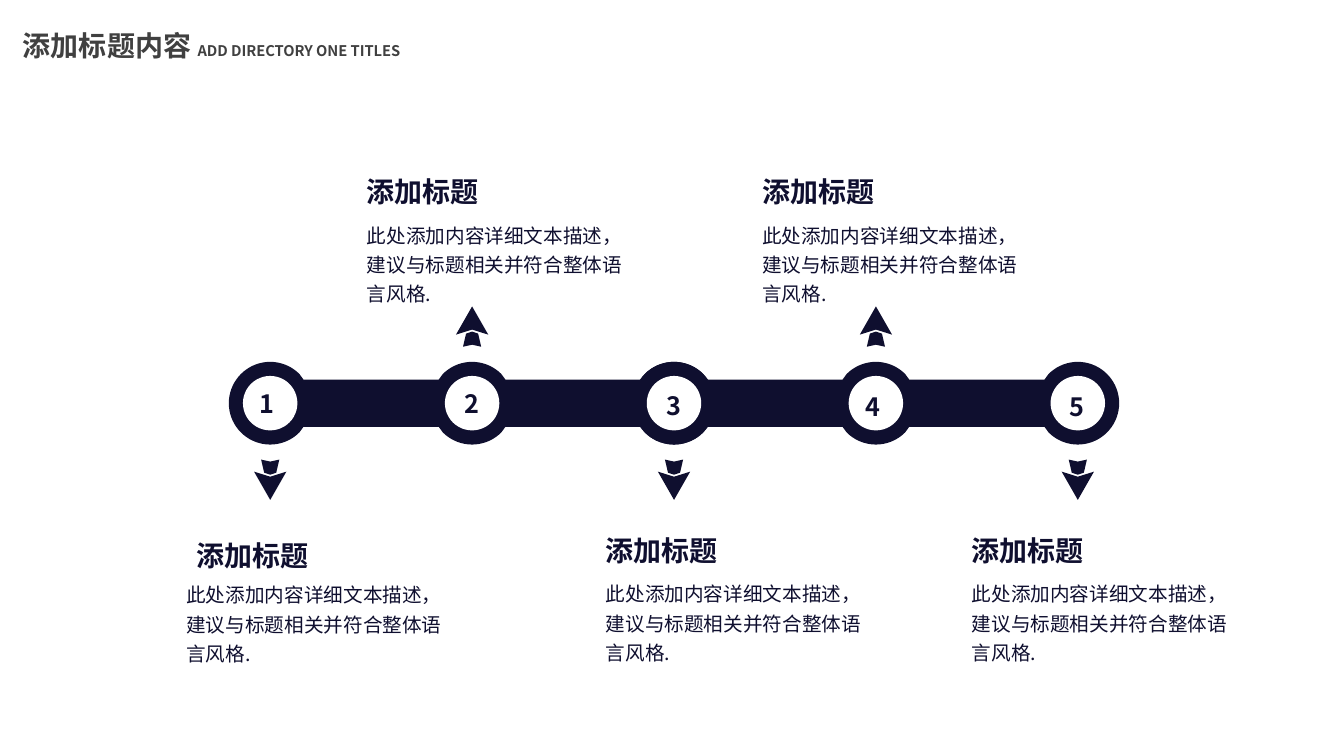
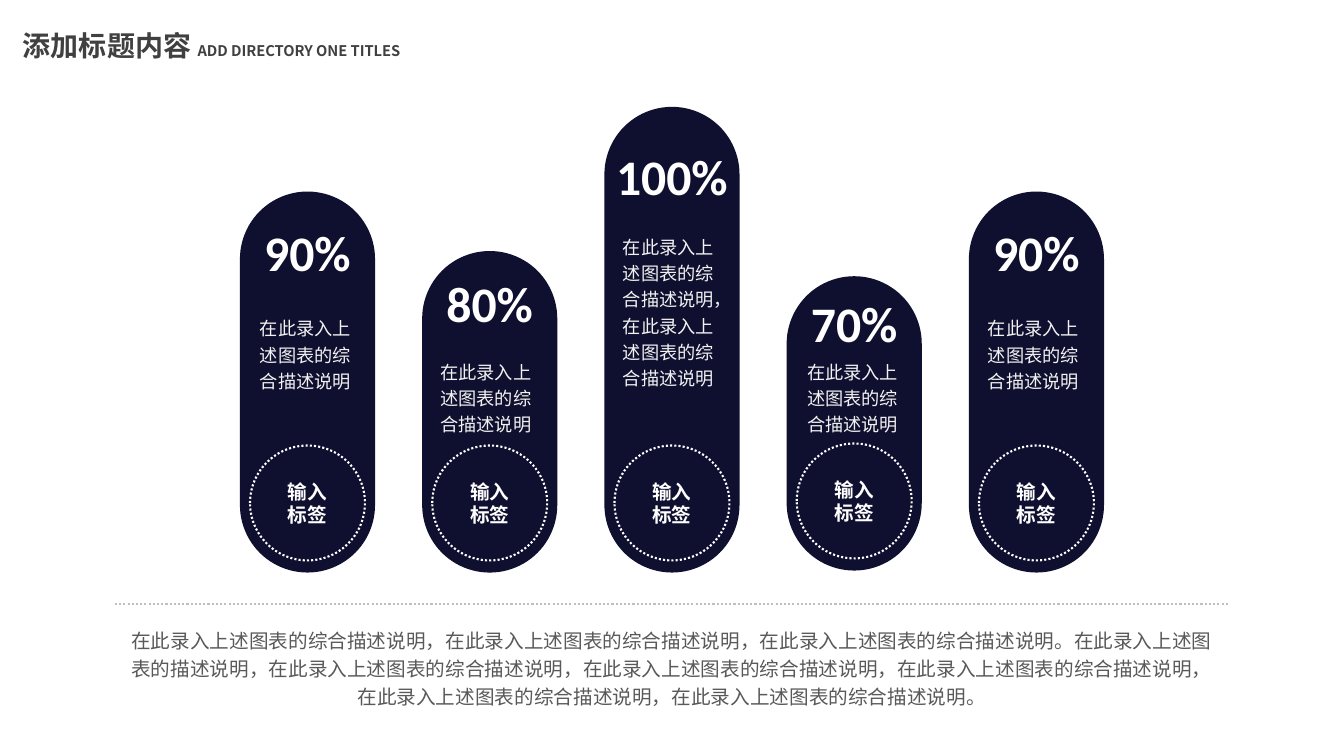
"""Build two slides: a five-step timeline and five percentage pillars."""
import math

import pptx
import pptx.dml.color
import pptx.enum.dml
import pptx.enum.shapes
import pptx.enum.text
import pptx.oxml
import pptx.oxml.ns
import pptx.util

Inches, Pt = pptx.util.Inches, pptx.util.Pt
RGBColor = pptx.dml.color.RGBColor
SHAPE = pptx.enum.shapes.MSO_SHAPE
DOTTED = pptx.enum.dml.MSO_LINE.ROUND_DOT
CENTER = pptx.enum.text.PP_ALIGN.CENTER
LEFT = pptx.enum.text.PP_ALIGN.LEFT
TOP = pptx.enum.text.MSO_ANCHOR.TOP
MIDDLE = pptx.enum.text.MSO_ANCHOR.MIDDLE

NAVY = RGBColor(0x0F, 0x0F, 0x2F)
WHITE = RGBColor(0xFF, 0xFF, 0xFF)
PALE = RGBColor(0xF2, 0xF2, 0xF2)
TITLE_GREY = RGBColor(0x40, 0x40, 0x40)
SUMMARY_GREY = RGBColor(0x59, 0x59, 0x59)
RULE_GREY = RGBColor(0xBF, 0xBF, 0xBF)
CJK, LATIN = "Noto Sans CJK SC", "Calibri"

TITLE = [("添加标题内容 ", 20), ("ADD DIRECTORY ONE TITLES", 10.5)]

STEP_HEADING = "添加标题"
STEP_BODY = "此处添加内容详细文本描述，建议与标题相关并符合整体语言风格."
STEPS = [
    {"number": (2.48, 3.80), "heading": (1.85, 5.26), "body": (1.75, 5.68)},
    {"number": (4.51, 3.80), "heading": (3.54, 1.65), "body": (3.54, 2.11)},
    {"number": (6.51, 3.82), "heading": (5.91, 5.21), "body": (5.91, 5.67)},
    {"number": (8.49, 3.83), "heading": (7.46, 1.65), "body": (7.46, 2.11)},
    {"number": (10.51, 3.83), "heading": (9.54, 5.21), "body": (9.54, 5.67)},
]
FIRST_STEP, LAST_STEP, AXIS = 2.68, 10.69, 4.0
BAND, NODE, HOLE, NECK = 0.47, 0.82, 0.54, 0.33
TIP_REACH = 0.96
ARROW_PARTS = [
    [(0, 0), (0.16, -0.28), (0, -0.23), (-0.16, -0.28)],
    [(0.06, -0.27), (0.09, -0.40), (0, -0.38), (-0.09, -0.40), (-0.06, -0.27), (0, -0.25)],
]

PILLAR_LABEL = "输入标签"
NOTE = "在此录入上述图表的综合描述说明"
PILLARS = [
    {"share": "90%", "top": 1.90, "base": 5.68, "share_top": 2.15,
     "note": NOTE, "note_at": (2.48, 3.06)},
    {"share": "80%", "top": 2.49, "base": 5.68, "share_top": 2.66,
     "note": NOTE, "note_at": (4.27, 3.49)},
    {"share": "100%", "top": 1.06, "base": 5.68, "share_top": 1.40,
     "note": NOTE + "，" + NOTE, "note_at": (6.08, 2.25)},
    {"share": "70%", "top": 2.74, "base": 5.66, "share_top": 2.86,
     "note": NOTE, "note_at": (7.91, 3.49)},
    {"share": "90%", "top": 1.90, "base": 5.68, "share_top": 2.15,
     "note": NOTE, "note_at": (9.70, 3.06)},
]
FIRST_PILLAR, LAST_PILLAR, PILLAR_WIDTH = 2.38, 9.61, 1.34
RING, RING_GAP = 1.14, 0.12
LABEL_WIDTH, LABEL_HEIGHT = 0.50, 0.47
SUMMARY = (
    f"{NOTE}，{NOTE}，{NOTE}。在此录入上述图表的描述说明，"
    + "，".join([NOTE] * 5) + "。"
)


def spread(first, last, count):
    """Return evenly spaced positions."""
    return [first + index * (last - first) / (count - 1) for index in range(count)]


def write(frame, runs, color, bold=False, font=CJK, align=LEFT,
          anchor=TOP, spacing=None, wrap=True, inset=None):
    """Fill a text frame with one paragraph made of (text, size) runs."""
    frame.word_wrap, frame.vertical_anchor = wrap, anchor
    if inset is not None:
        frame.margin_left = frame.margin_right = Inches(inset)
        frame.margin_top = frame.margin_bottom = Inches(inset)
    paragraph = frame.paragraphs[0]
    paragraph.alignment = align
    if spacing:
        paragraph.line_spacing = spacing
    paragraph.font.name, paragraph.font.bold = font, bold
    paragraph.font.color.rgb = color
    paragraph.font.size = Pt(runs[0][1])
    defaults = paragraph._p.pPr.find(pptx.oxml.ns.qn("a:defRPr"))
    defaults.append(pptx.oxml.parse_xml(
        f'<a:ea {pptx.oxml.ns.nsdecls("a")} typeface="{font}"/>'))
    for text, size in runs:
        run = paragraph.add_run()
        run.text = text
        if size != runs[0][1]:
            run.font.size = Pt(size)


def add_text(slide, box, runs, color, **style):
    """Place a text box."""
    write(slide.shapes.add_textbox(*map(Inches, box)).text_frame, runs, color, **style)


def paint(shape, fill):
    """Give a shape a flat fill with no outline or shadow."""
    shape.shadow.inherit = False
    shape.fill.solid()
    shape.fill.fore_color.rgb = fill
    shape.line.fill.background()
    return shape


def add_block(slide, kind, box, fill):
    """Place a flat preset shape."""
    return paint(slide.shapes.add_shape(kind, *map(Inches, box)), fill)


def add_disc(slide, x, y, diameter, fill):
    """Place a circle by its centre."""
    box = (x - diameter / 2, y - diameter / 2, diameter, diameter)
    return add_block(slide, SHAPE.OVAL, box, fill)


def add_outline(slide, contours, fill):
    """Place a flat freeform with one or more closed contours."""
    contours = [[(Inches(x), Inches(y)) for x, y in points] for points in contours]
    builder = slide.shapes.build_freeform(*contours[0][0])
    for index, points in enumerate(contours):
        if index:
            builder.move_to(*points[0])
        builder.add_line_segments(points[1:], close=True)
    paint(builder.convert_to_shape(), fill)


def dot(line, color):
    """Style a line as fine dots."""
    line.color.rgb = color
    line.width = Pt(1.5)
    line.dash_style = DOTTED


def add_arrow(slide, x, direction):
    """Place a two-part arrow pointing away from the axis."""
    tip = AXIS + direction * TIP_REACH
    add_outline(slide, [[(x + dx, tip + direction * dy) for dx, dy in part]
                        for part in ARROW_PARTS], NAVY)


def add_band(slide, centres):
    """Place a band that swells into a round node at each centre."""
    upper = []
    for x in centres:
        start = 180 if x == centres[0] else 135
        end = 0 if x == centres[-1] else 45
        if start == 135:
            upper.append((x - NECK, -BAND / 2))
        for degrees in range(start, end - 1, -5):
            angle = math.radians(degrees)
            upper.append((x + NODE / 2 * math.cos(angle), -NODE / 2 * math.sin(angle)))
        if end == 45:
            upper.append((x + NECK, -BAND / 2))
    lower = [(x, -y) for x, y in reversed(upper[1:-1])]
    add_outline(slide, [[(x, AXIS + y) for x, y in upper + lower]], NAVY)


def add_titled_slide(deck):
    """Add a blank slide with the shared title."""
    slide = deck.slides.add_slide(deck.slide_layouts[6])
    add_text(slide, (0, 0.23, 4.2, 0.44), TITLE, TITLE_GREY, bold=True, align=CENTER)
    return slide


def build_timeline(slide):
    """Draw the numbered band with its five descriptions."""
    centres = spread(FIRST_STEP, LAST_STEP, len(STEPS))
    half = len(centres) // 2
    add_band(slide, centres[:half + 1])
    add_band(slide, centres[half:])
    for index, (x, step) in enumerate(zip(centres, STEPS)):
        add_disc(slide, x, AXIS, HOLE, WHITE)
        add_arrow(slide, x, -1 if index % 2 else 1)
        add_text(slide, (*step["number"], 0.36, 0.40), [(str(index + 1), 18)], NAVY,
                 bold=True, wrap=False)
        add_text(slide, (*step["heading"], 3.79, 0.50), [(STEP_HEADING, 20)], NAVY,
                 bold=True, anchor=MIDDLE)
        add_text(slide, (*step["body"], 2.83, 1.06), [(STEP_BODY, 14)], NAVY, spacing=1.25)


def build_pillars(slide):
    """Draw the five pillars, the dotted rule and the summary."""
    rule = slide.shapes.add_connector(
        pptx.enum.shapes.MSO_CONNECTOR.STRAIGHT, *map(Inches, (1.14, 5.99, 12.19, 5.99)))
    dot(rule.line, RULE_GREY)
    rule._element.spPr.append(
        pptx.oxml.parse_xml(f'<a:effectLst {pptx.oxml.ns.nsdecls("a")}/>'))
    for left, pillar in zip(spread(FIRST_PILLAR, LAST_PILLAR, len(PILLARS)), PILLARS):
        middle = left + PILLAR_WIDTH / 2
        height = pillar["base"] - pillar["top"]
        column = add_block(slide, SHAPE.ROUNDED_RECTANGLE,
                           (left, pillar["top"], PILLAR_WIDTH, height), NAVY)
        column.adjustments[0] = 0.5
        ring_middle = pillar["base"] - RING_GAP - RING / 2
        dot(add_disc(slide, middle, ring_middle, RING, NAVY).line, WHITE)
        label_box = (middle - LABEL_WIDTH / 2, ring_middle - LABEL_HEIGHT / 2,
                     LABEL_WIDTH, LABEL_HEIGHT)
        label = add_block(slide, SHAPE.RECTANGLE, label_box, NAVY)
        write(label.text_frame, [(PILLAR_LABEL, 14)], WHITE, bold=True,
              align=CENTER, anchor=MIDDLE, inset=0)
        add_text(slide, (left, pillar["share_top"], PILLAR_WIDTH, 0.70),
                 [(pillar["share"], 35.5)], WHITE, bold=True, font=LATIN,
                 align=CENTER, wrap=False)
        add_text(slide, (*pillar["note_at"], 1.17, 0.89),
                 [(pillar["note"], 13)], PALE, spacing=1.2)
    add_text(slide, (1.13, 6.14, 11.07, 0.93), [(SUMMARY, 14)], SUMMARY_GREY,
             align=CENTER, spacing=1.2)


def main():
    """Assemble and save the deck."""
    deck = pptx.Presentation()
    deck.slide_width, deck.slide_height = Inches(13.33), Inches(7.5)
    for build in (build_timeline, build_pillars):
        build(add_titled_slide(deck))
    deck.save("out.pptx")


if __name__ == "__main__":
    main()
